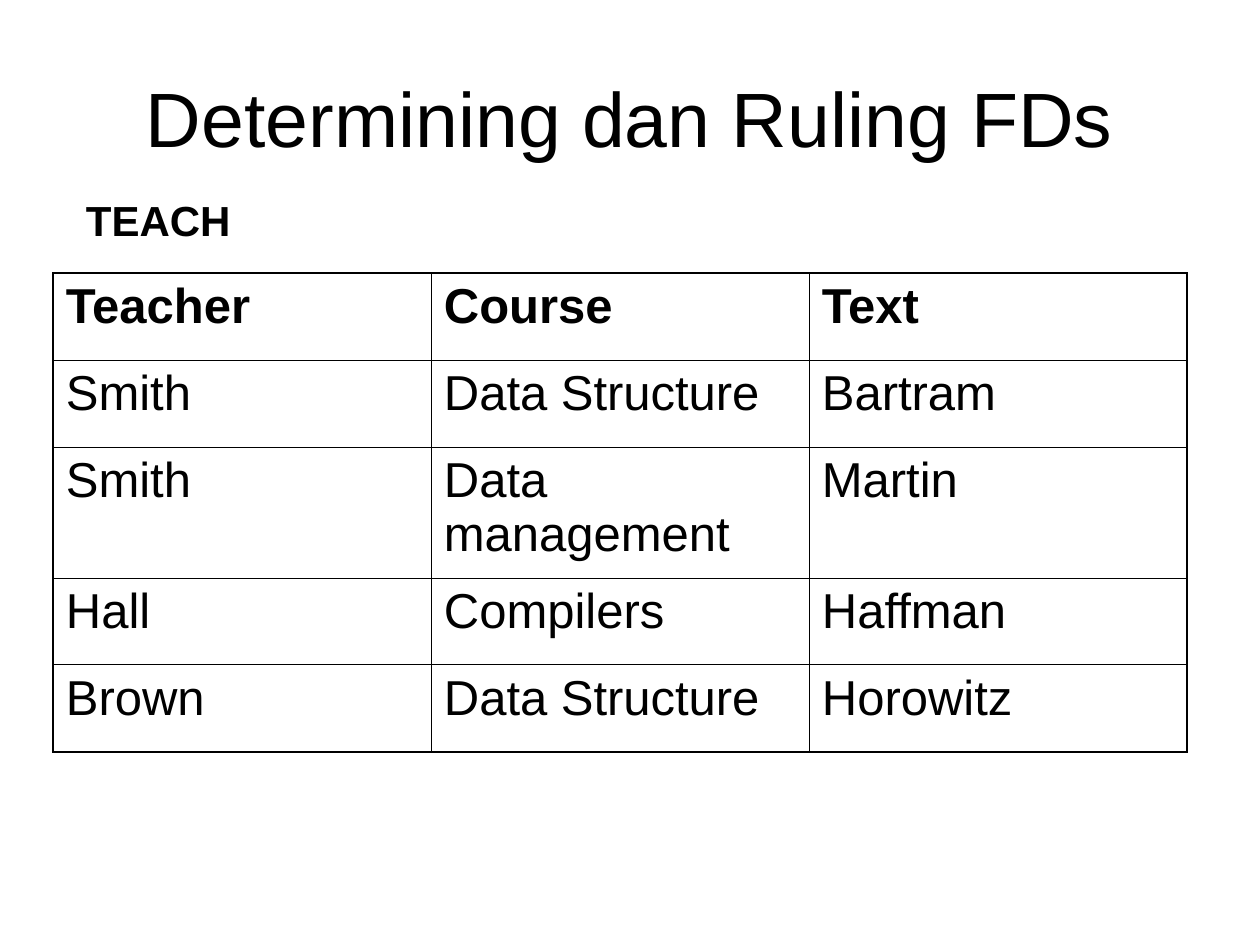
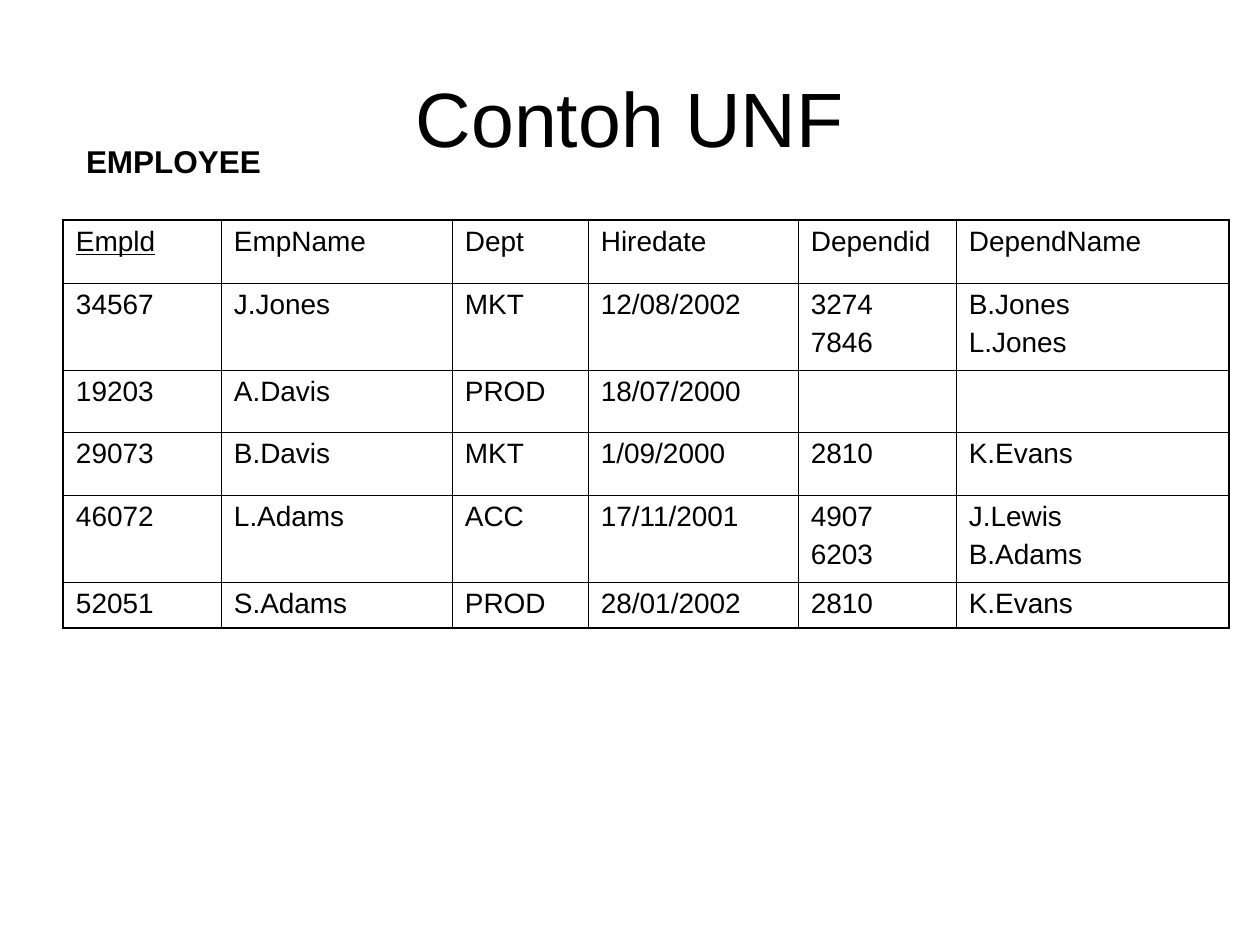
from lxml import etree
from pptx import Presentation
from pptx.dml.color import RGBColor
from pptx.enum.text import MSO_ANCHOR, MSO_AUTO_SIZE, PP_ALIGN
from pptx.oxml.ns import qn
from pptx.util import Pt

EMU_PER_PX = 914400 / 126
FONT = "Arial"
BLACK = RGBColor(0x00, 0x00, 0x00)
THICK, THIN = Pt(1.08), Pt(0.45)
CENTER = PP_ALIGN.CENTER
MIDDLE = MSO_ANCHOR.MIDDLE
GROW = MSO_AUTO_SIZE.SHAPE_TO_FIT_TEXT
BLANK = 6

SLIDE_SIZE = (1260, 945)
TITLE_BOX = (63, 38, 1134, 157)
INSET_X, INSET_Y = 13, 6

TEACH_ROWS = [
    ("Teacher", "Course", "Text"),
    ("Smith", "Data Structure", "Bartram"),
    ("Smith", "Data management", "Martin"),
    ("Hall", "Compilers", "Haffman"),
    ("Brown", "Data Structure", "Horowitz"),
]
EMPLOYEE_ROWS = [
    ("Empld", "EmpName", "Dept", "Hiredate", "Dependid", "DependName"),
    ("34567", "J.Jones", "MKT", "12/08/2002", "3274\n7846", "B.Jones\nL.Jones"),
    ("19203", "A.Davis", "PROD", "18/07/2000", "", ""),
    ("29073", "B.Davis", "MKT", "1/09/2000", "2810", "K.Evans"),
    ("46072", "L.Adams", "ACC", "17/11/2001", "4907\n6203", "J.Lewis\nB.Adams"),
    ("52051", "S.Adams", "PROD", "28/01/2002", "2810", "K.Evans"),
]


def px(n):
    return round(n * EMU_PER_PX)


def set_text(tf, text, size, bold=False, before=0):
    """Fill a text frame, one paragraph per line."""
    tf.text = text
    for p in tf.paragraphs:
        p.space_before = Pt(before)
        p.font.name = FONT
        p.font.size = Pt(size)
        p.font.bold = bold
        p.font.color.rgb = BLACK


def set_insets(part):
    part.margin_left = part.margin_right = px(INSET_X)
    part.margin_top = part.margin_bottom = px(INSET_Y)


def add_text(s, box, text, size, bold=False, before=0):
    tf = s.shapes.add_textbox(*map(px, box)).text_frame
    tf.word_wrap = True
    set_insets(tf)
    set_text(tf, text, size, bold, before)
    return tf


def add_title(s, text):
    tf = add_text(s, TITLE_BOX, text, 44)
    tf.vertical_anchor = MIDDLE
    tf.paragraphs[0].alignment = CENTER


def add_relation_name(s, box, text, size, before):
    tf = add_text(s, box, text, size, True, before)
    tf.auto_size = GROW


def set_border(cell, side, width):
    tc_pr = cell._tc.get_or_add_tcPr()
    ln = etree.SubElement(tc_pr, qn("a:ln" + side), w=str(int(width)))
    fill = etree.SubElement(ln, qn("a:solidFill"))
    etree.SubElement(fill, qn("a:srgbClr"), val=str(BLACK))


def add_grid(s, left, top, widths, heights, rows, size, before, bold_header=False):
    """Table with a thick outline and thin inner lines."""
    box = (left, top, sum(widths), sum(heights))
    table = s.shapes.add_table(len(heights), len(widths), *map(px, box)).table
    table.first_row = table.horz_banding = False
    for col, width in zip(table.columns, widths):
        col.width = px(width)
    for row, height in zip(table.rows, heights):
        row.height = px(height)

    last_row, last_col = len(heights) - 1, len(widths) - 1
    for i, texts in enumerate(rows):
        for j, text in enumerate(texts):
            cell = table.cell(i, j)
            set_insets(cell)
            set_text(cell.text_frame, text, size, bold_header and i == 0, before)
            outer = {"L": j == 0, "R": j == last_col, "T": i == 0, "B": i == last_row}
            for side, is_outer in outer.items():
                set_border(cell, side, THICK if is_outer else THIN)
            cell.fill.background()
    return table


def add_teach_slide(prs):
    s = prs.slides.add_slide(prs.slide_layouts[BLANK])
    add_title(s, "Determining dan Ruling FDs")
    add_grid(s, 53, 273, [378] * 3, [87, 87, 131, 87, 87], TEACH_ROWS, 28, 7, True)
    add_relation_name(s, (73, 189, 179, 63), "TEACH", 24, 15)


def add_employee_slide(prs):
    s = prs.slides.add_slide(prs.slide_layouts[BLANK])
    add_title(s, "Contoh UNF")
    table = add_grid(s, 63, 220, [158, 231, 136, 210, 158, 273],
                     [63, 87, 62, 63, 87, 46], EMPLOYEE_ROWS, 16, 4)
    # The key column is underlined
    table.cell(0, 0).text_frame.paragraphs[0].font.underline = True
    add_relation_name(s, (73, 136, 221, 50), "EMPLOYEE", 18, 11.2)


def main():
    prs = Presentation()
    prs.slide_width, prs.slide_height = map(px, SLIDE_SIZE)
    add_teach_slide(prs)
    add_employee_slide(prs)
    prs.save("out.pptx")


if __name__ == "__main__":
    main()
